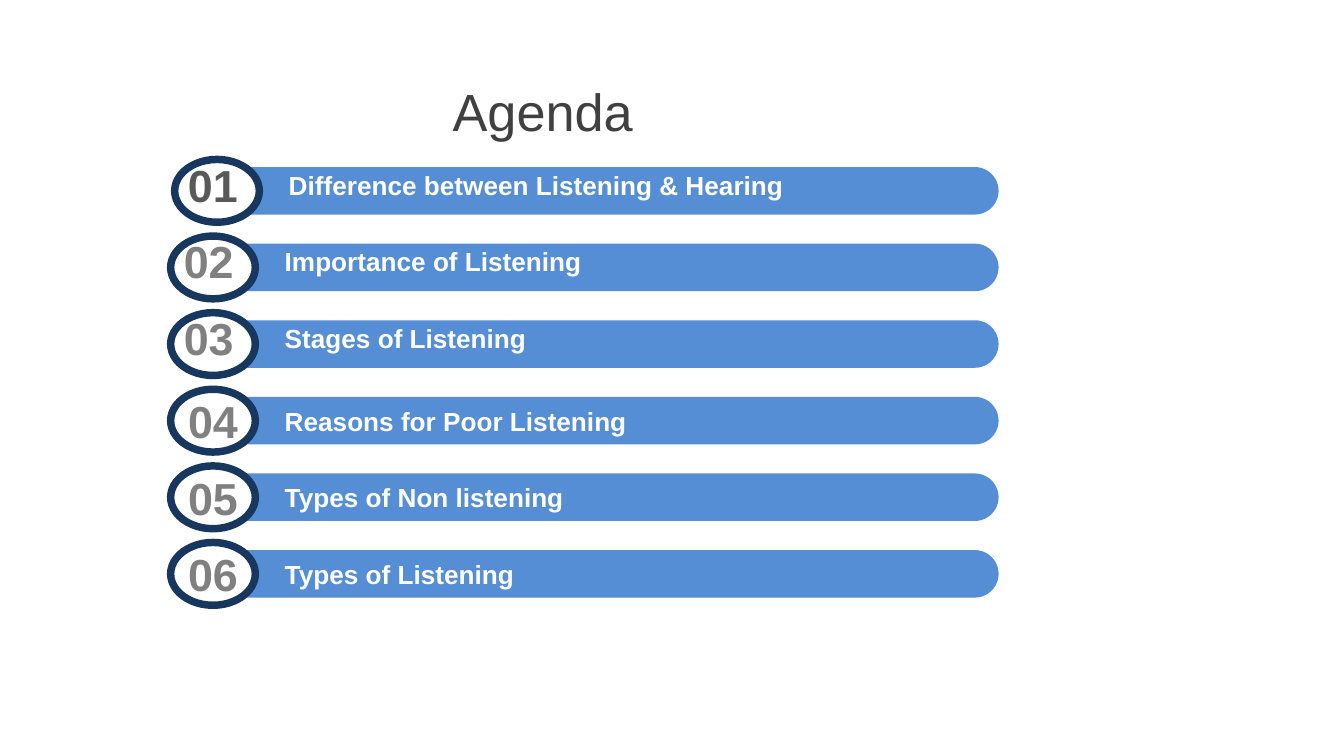
import pptx
import pptx.dml.color
import pptx.enum.shapes
import pptx.enum.text
import pptx.util

KIND = pptx.enum.shapes.MSO_SHAPE
ALIGN = pptx.enum.text.PP_ALIGN
ANCHOR = pptx.enum.text.MSO_ANCHOR
FIT = pptx.enum.text.MSO_AUTO_SIZE

ITEMS = [
    "Difference between Listening & Hearing",
    "Importance of Listening",
    "Stages of Listening",
    "Reasons for Poor Listening",
    "Types of Non listening",
    "Types of Listening",
]


def color(code):
    return pptx.dml.color.RGBColor.from_string(code)


def write(shape, text, size=14, ink="FFFFFF", bold=True, align=ALIGN.LEFT,
          anchor=ANCHOR.MIDDLE, pad=0.05, fit=FIT.SHAPE_TO_FIT_TEXT):
    frame = shape.text_frame
    frame.word_wrap = True
    frame.auto_size = fit
    frame.vertical_anchor = anchor
    frame.margin_top = frame.margin_bottom = pptx.util.Inches(pad)
    line = frame.paragraphs[0]
    line.alignment = align
    run = line.add_run()
    run.text = text
    run.font.name = "Arial"
    run.font.size = pptx.util.Pt(size)
    run.font.bold = bold
    run.font.color.rgb = color(ink)


class Deck:
    """Grid: 100 columns across the slide; agenda rows, row 0 centred at TOP."""
    WIDE = 10
    HIGH = WIDE * 9 / 16
    COL, ROW, TOP = WIDE / 100, 0.57, 1.42
    BLUE, NAVY, WHITE = "558ED5", "17375E", "FFFFFF"

    def __init__(self):
        self.show = pptx.Presentation()
        self.show.slide_width = pptx.util.Inches(self.WIDE)
        self.show.slide_height = pptx.util.Inches(self.HIGH)
        self.slide = self.show.slides.add_slide(self.show.slide_layouts[6])
        self.shapes = self.slide.shapes

    def group(self):
        """Send the shapes that follow into a new group."""
        self.shapes = self.slide.shapes.add_group_shape().shapes

    def place(self, left, right, row, tall, turned=False):
        """Box between two columns, centred on a row; turned swaps its sides."""
        wide, high = (right - left) * self.COL, tall * self.ROW
        mid = (left + right) / 2 * self.COL
        center = self.TOP + row * self.ROW
        if turned:
            wide, high = high, wide
        box = (mid - wide / 2, center - high / 2, wide, high)
        return [pptx.util.Inches(side) for side in box]

    def shape(self, kind, fill, box, turn=0):
        item = self.shapes.add_shape(kind, *box)
        item.rotation = turn
        item.shadow.inherit = False
        item.fill.solid()
        item.fill.fore_color.rgb = color(fill)
        item.line.fill.background()
        return item

    def bar(self, left, right, row):
        box = self.place(left, right, row, 0.62, turned=True)
        item = self.shape(KIND.ROUND_2_SAME_RECTANGLE, self.BLUE, box, 90)
        item.adjustments[0] = 0.5
        item.adjustments[1] = 0

    def ring(self, left, right, row):
        box = self.place(left, right, row, 0.82, turned=True)
        item = self.shape(KIND.OVAL, self.WHITE, box, 270)
        item.line.color.rgb = color(self.NAVY)
        item.line.width = pptx.util.Pt(4)

    def text(self, text, left, right, row, tall, fill=None, **style):
        box = self.place(left, right, row, tall)
        if fill:
            item = self.shape(KIND.RECTANGLE, fill, box)
        else:
            item = self.shapes.add_textbox(*box)
        write(item, text, **style)


def main():
    deck = Deck()
    deck.text("Agenda", 32.7, 106.3, -1.05, 1.1, size=28, ink="404040",
              bold=False, fit=FIT.NONE)
    for row, item in enumerate(ITEMS):
        first, upper = row == 0, row < 3
        shift = 0.3 if first else 0
        deck.group()
        deck.bar(15.9 + shift, 74.3, row)
        deck.ring(12.7 + shift, 19 + shift, row)
        low = {"align": ALIGN.JUSTIFY, "anchor": ANCHOR.BOTTOM} if upper else {}
        count = {"align": ALIGN.CENTER, **low}
        deck.text(f"{row + 1:02}", 12.7 + shift, 19 + shift, row,
                  0.53 if upper else 0.7, size=24, pad=0,
                  ink="595959" if first else "808080", **count)
        deck.text(item, 20.2 + shift, 72.4, row - 0.01 if upper else row,
                  0.44 if upper else 0.6,
                  fill=deck.BLUE if first else None, **low)
    deck.show.save("out.pptx")


if __name__ == "__main__":
    main()
